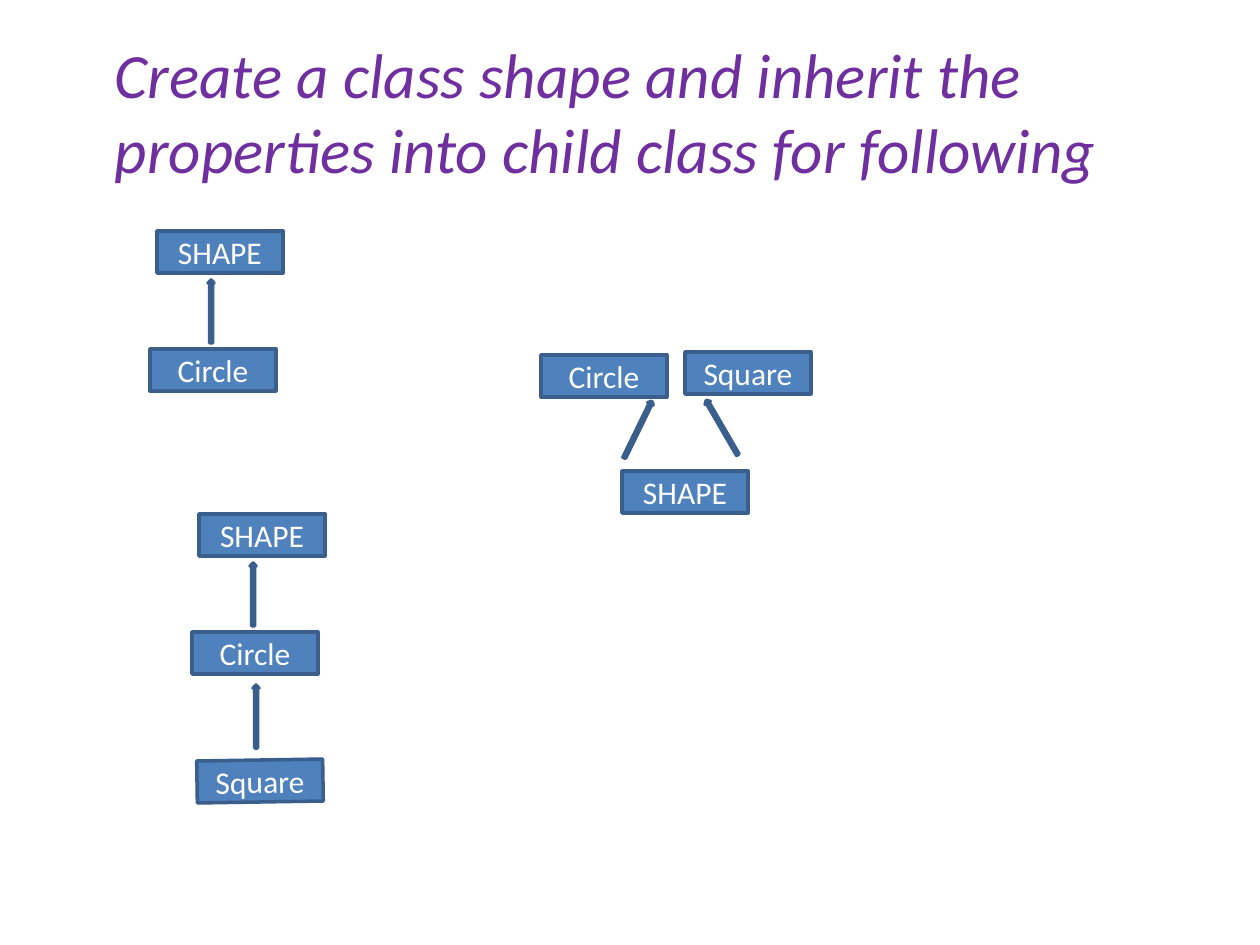
from pptx import Presentation
from pptx.dml.color import RGBColor
from pptx.enum.shapes import MSO_SHAPE
from pptx.enum.text import MSO_ANCHOR, MSO_AUTO_SIZE, PP_ALIGN
from pptx.util import Emu, Inches, Pt

RECTANGLE = MSO_SHAPE.RECTANGLE
DOWN_ARROW = MSO_SHAPE.DOWN_ARROW
TOP, MIDDLE = MSO_ANCHOR.TOP, MSO_ANCHOR.MIDDLE
LEFT, CENTER = PP_ALIGN.LEFT, PP_ALIGN.CENTER
NO_AUTOFIT = MSO_AUTO_SIZE.NONE

PURPLE = RGBColor(0x6F, 0x2F, 0x9F)
BLUE = RGBColor(0x4F, 0x81, 0xBD)
DARK_BLUE = RGBColor(0x3A, 0x5F, 0x8C)
WHITE = RGBColor(0xFF, 0xFF, 0xFF)

PIXELS_PER_INCH = 126
TITLE_ONLY = 5


def px(pixels):
    return Emu(round(pixels * Inches(1) / PIXELS_PER_INCH))


class DiagramSlide:
    font = "Calibri"
    box_size = (126, 42)
    arrow_size = (6, 63)

    def __init__(self, slide):
        self.slide = slide

    def set_text(self, frame, text, size, color, align, anchor, italic=False):
        frame.text = text
        frame.word_wrap = True
        frame.auto_size = NO_AUTOFIT
        frame.vertical_anchor = anchor
        frame.margin_left = frame.margin_right = 0
        frame.margin_top = frame.margin_bottom = 0
        paragraph = frame.paragraphs[0]
        paragraph.alignment = align
        font = paragraph.runs[0].font
        font.name, font.size, font.italic = self.font, Pt(size), italic
        font.color.rgb = color

    def title(self, text, left, top, width, height):
        heading = self.slide.shapes.title
        heading.left, heading.top = px(left), px(top)
        heading.width, heading.height = px(width), px(height)
        self.set_text(heading.text_frame, text, 36, PURPLE, LEFT, TOP, italic=True)

    def outlined(self, kind, left, top, size, rotation):
        shape = self.slide.shapes.add_shape(
            kind, px(left), px(top), px(size[0]), px(size[1]))
        shape.rotation = rotation
        shape.shadow.inherit = False
        shape.fill.solid()
        shape.fill.fore_color.rgb = BLUE
        shape.line.color.rgb = DARK_BLUE
        shape.line.width = Pt(2)
        return shape

    def class_box(self, name, left, top, rotation=0):
        box = self.outlined(RECTANGLE, left, top, self.box_size, rotation)
        self.set_text(box.text_frame, name, 18, WHITE, CENTER, MIDDLE)

    def arrow(self, left, top, rotation=180):
        self.outlined(DOWN_ARROW, left, top, self.arrow_size, rotation)

    def circle_from_shape(self, left, top):
        self.class_box("SHAPE", left, top)
        self.arrow(left + 51, top + 49)
        self.class_box("Circle", left - 7, top + 118)


prs = Presentation()
prs.slide_width, prs.slide_height = Inches(10), Inches(7.5)
diagram = DiagramSlide(prs.slides.add_slide(prs.slide_layouts[TITLE_ONLY]))

diagram.title("Create a class shape and inherit the properties into child class "
              "for following", 115, 35, 1032, 152)

# Single inheritance
diagram.circle_from_shape(157, 231)

# Two classes joined to one
diagram.class_box("SHAPE", 622, 471)
diagram.arrow(635, 398, 206)
diagram.class_box("Circle", 541, 355)
diagram.arrow(719, 396, 149.9)
diagram.class_box("Square", 685, 352)

# Multilevel inheritance
diagram.circle_from_shape(199, 514)
diagram.arrow(253, 685)
diagram.class_box("Square", 197, 760, 359.1)

prs.save("out.pptx")
